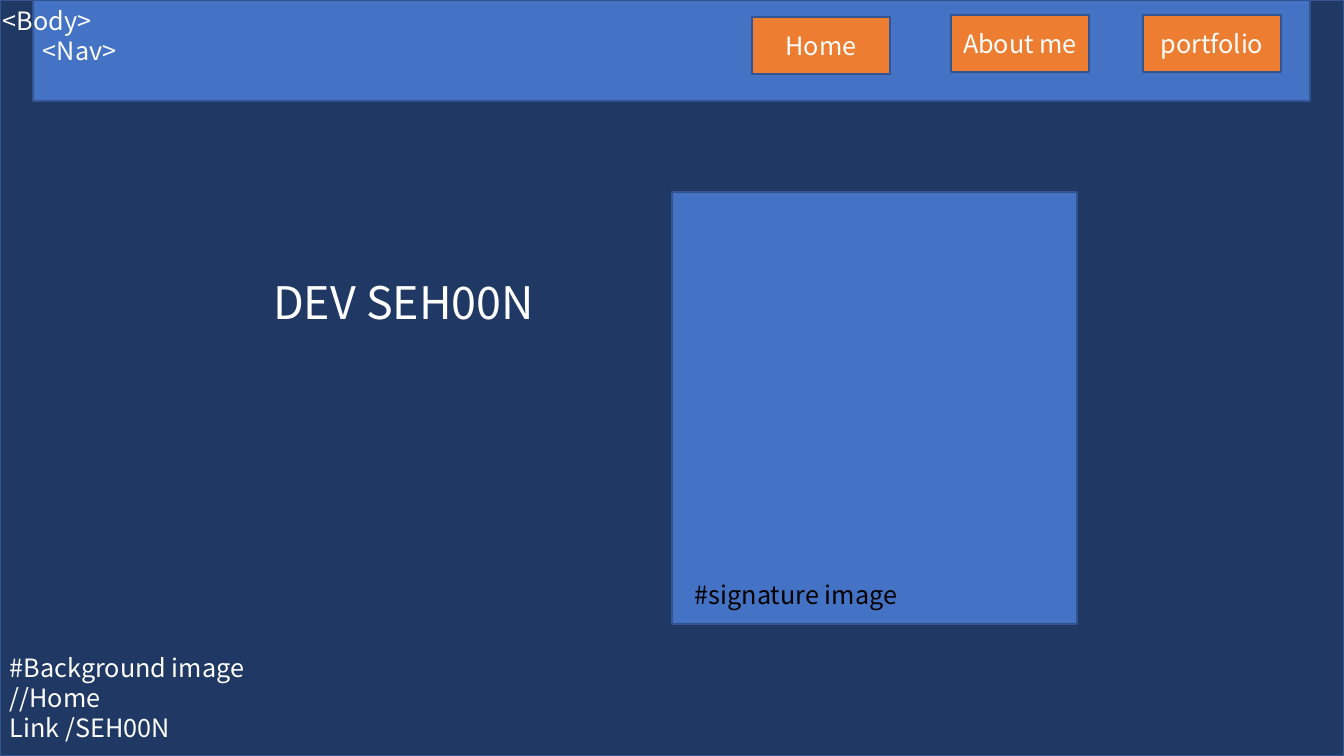
import pptx
import pptx.dml.color
import pptx.enum.shapes
import pptx.enum.text
import pptx.util

RGBColor = pptx.dml.color.RGBColor
NAVY = RGBColor(0x20, 0x38, 0x64)
BLUE = RGBColor(0x44, 0x72, 0xC4)
ORANGE = RGBColor(0xED, 0x7D, 0x31)
OUTLINE = RGBColor(0x32, 0x54, 0x91)
WHITE = RGBColor(0xFF, 0xFF, 0xFF)
BLACK = RGBColor(0x00, 0x00, 0x00)

FONT = "Noto Sans CJK KR"
EMU_PER_PIXEL = 914400 / 100.8
SLIDE_WIDTH, SLIDE_HEIGHT = 1344, 756
BUTTON_WIDTH, BUTTON_HEIGHT = 138, 57
NAV_BUTTONS = [("Home", 752, 17), ("About me", 951, 15), ("portfolio", 1143, 15)]


def pixels(*values):
    """Return pixel lengths as a list of EMU lengths."""
    return [pptx.util.Emu(round(value * EMU_PER_PIXEL)) for value in values]


def write_text(shape, text, size=18, color=WHITE, align="LEFT", anchor="TOP"):
    """Fill a shape with formatted text, one paragraph per line."""
    frame = shape.text_frame
    frame.text = text
    frame.word_wrap = True
    frame.auto_size = pptx.enum.text.MSO_AUTO_SIZE.NONE
    frame.vertical_anchor = pptx.enum.text.MSO_ANCHOR[anchor]
    for paragraph in frame.paragraphs:
        paragraph.alignment = pptx.enum.text.PP_ALIGN[align]
        paragraph.line_spacing = 1.0
        paragraph.space_before = pptx.util.Pt(0)
        paragraph.font.name = FONT
        paragraph.font.size = pptx.util.Pt(size)
        paragraph.font.color.rgb = color


def add_box(slide, left, top, width, height, fill):
    """Add an outlined rectangle and return it."""
    box = slide.shapes.add_shape(
        pptx.enum.shapes.MSO_SHAPE.RECTANGLE, *pixels(left, top, width, height)
    )
    box.shadow.inherit = False
    box.fill.solid()
    box.fill.fore_color.rgb = fill
    box.line.color.rgb = OUTLINE
    box.line.width = pptx.util.Pt(1)
    return box


def add_label(slide, text, left, top, width, height, **text_format):
    """Add a text box holding formatted text."""
    label = slide.shapes.add_textbox(*pixels(left, top, width, height))
    write_text(label, text, **text_format)


def place_title(slide, text, left, top, width, height, **text_format):
    """Move the title placeholder to the front and fill it."""
    title = slide.shapes.title
    title.left, title.top, title.width, title.height = pixels(left, top, width, height)
    write_text(title, text, **text_format)
    title.element.getparent().append(title.element)


def add_navigation(slide):
    """Add the navigation bar with its buttons."""
    bar = add_box(slide, 33, 0, 1277, 101, BLUE)
    write_text(bar, "<Nav>", anchor="MIDDLE")
    for name, left, top in NAV_BUTTONS:
        button = add_box(slide, left, top, BUTTON_WIDTH, BUTTON_HEIGHT, ORANGE)
        write_text(button, name, align="CENTER", anchor="MIDDLE")


def main():
    """Build the home page wireframe slide and save it."""
    presentation = pptx.Presentation()
    presentation.slide_width, presentation.slide_height = pixels(SLIDE_WIDTH, SLIDE_HEIGHT)
    slide = presentation.slides.add_slide(presentation.slide_layouts.get_by_name("Title Only"))

    add_box(slide, 0, 0, SLIDE_WIDTH, SLIDE_HEIGHT, NAVY)
    add_navigation(slide)
    add_label(slide, "<Body>", -7, 0, 178, 40)
    add_label(slide, "#Background image\n//Home\nLink /SEH00N", 0, 647, 454, 102)
    place_title(slide, "DEV SEH00N", 263, 270, 321, 65, size=32)
    add_box(slide, 672, 192, 405, 432, BLUE)
    add_label(slide, "#signature image", 685, 574, 316, 40, color=BLACK)

    presentation.save("out.pptx")


main()
